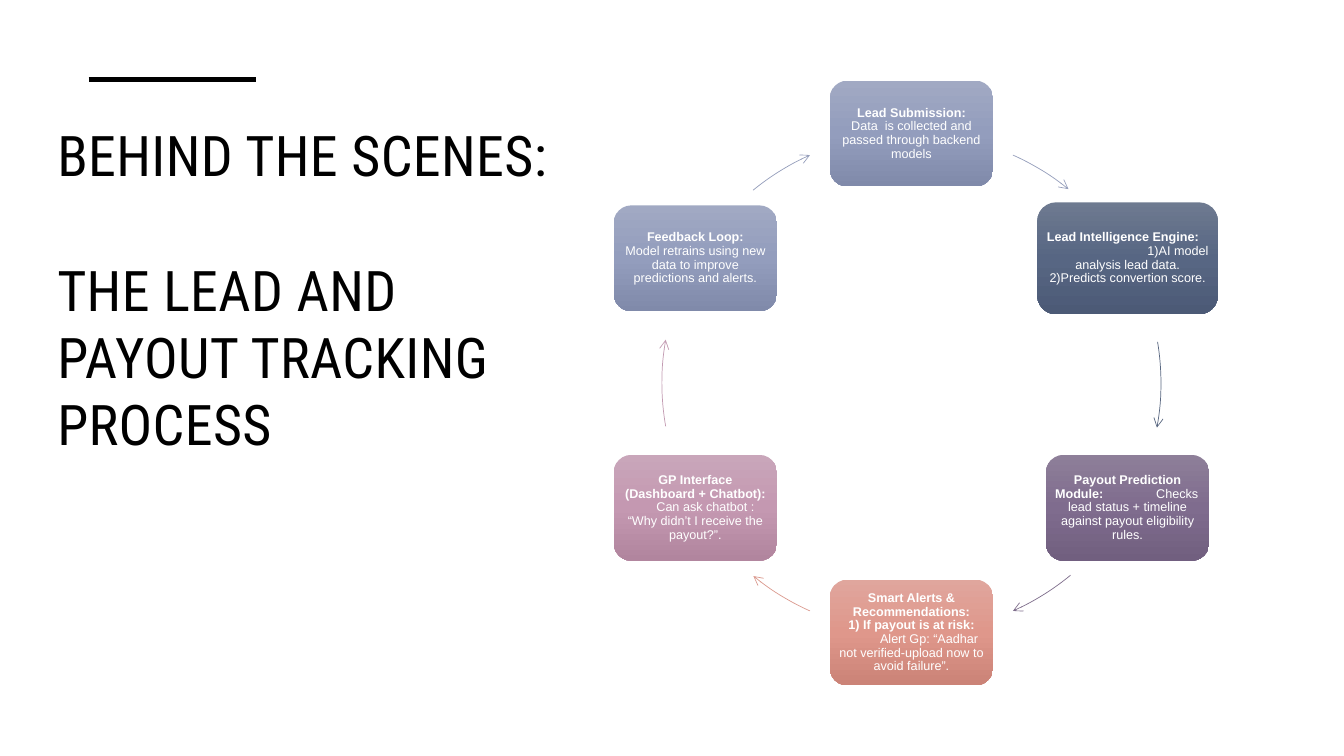
from copy import deepcopy
from dataclasses import dataclass
from math import cos, radians, sin

from lxml.etree import SubElement
from pptx import Presentation
from pptx.dml.color import RGBColor
from pptx.enum.shapes import MSO_CONNECTOR as Connector, MSO_SHAPE as Preset
from pptx.enum.text import MSO_ANCHOR as Anchor, PP_ALIGN as Align
from pptx.oxml.ns import qn
from pptx.util import Inches, Pt


@dataclass(frozen=True)
class Theme:
    ink: str = "000000"
    card_text: str = "FFFFFF"
    periwinkle: tuple = ("A1A9C3", "939DBD", "808AAA", "959EBB")
    slate: tuple = ("6E7A90", "576683", "4C5A76", "596781")
    plum: tuple = ("8E7F99", "7F6C8E", "715F7F", "7F6E8C")
    coral: tuple = ("E0A69D", "DF978B", "CB8377", "DB9A8F")
    mauve: tuple = ("C9A6BA", "C498B1", "B1859E", "C29AB1")
    title_font: str = "Roboto Condensed"
    body_font: str = "Arial"
    title_size: int = 40
    card_size: int = 9
    rule_width: float = 3.5
    arc_width: float = 0.5


THEME = Theme()
CENTER_X, CENTER_Y, RADIUS = 9.04, 3.8, 2.475
CARD_SIZE = (1.62, 1.05)
WIDE_CARD_SIZE = (1.79, 1.11)


@dataclass(frozen=True)
class Line:
    text: str
    bold: bool = False
    align: Align = Align.CENTER
    indent: float = 0
    right_tail: str = ""


@dataclass(frozen=True)
class Step:
    lines: tuple
    palette: tuple
    arc: tuple
    size: tuple = CARD_SIZE


STEPS = (
    Step((Line("Lead Submission:", True),
          Line("Data  is collected and passed through backend models")),
         THEME.periwinkle, (294, 309)),
    Step((Line("Lead Intelligence Engine:", True, Align.LEFT),
          Line("1)AI model", align=Align.RIGHT),
          Line("analysis lead data."),
          Line("2)Predicts convertion score.")),
         THEME.slate, (350.5, 10.3), WIDE_CARD_SIZE),
    Step((Line("Payout Prediction", True),
          Line("Module:", True, Align.LEFT, right_tail="Checks"),
          Line("lead status + timeline against payout eligibility rules.")),
         THEME.plum, (50.4, 66)),
    Step((Line("Smart Alerts & Recommendations:", True),
          Line("1) If payout is at risk:", True),
          Line("Alert Gp: “Aadhar", indent=0.35),
          Line("not verified-upload now to avoid failure”.")),
         THEME.coral, (114, 129.3)),
    Step((Line("GP Interface (Dashboard + Chatbot):", True),
          Line("Can ask chatbot :", indent=0.2),
          Line("“Why didn’t I receive the payout?”.")),
         THEME.mauve, (170, 190)),
    Step((Line("Feedback Loop:", True),
          Line("Model retrains using new data to improve predictions and alerts.")),
         THEME.periwinkle, (230.6, 246)),
)


def rgb(color):
    return RGBColor.from_string(color)


def style_run(run, font, size, color, bold=False):
    run.font.name = font
    run.font.size = Pt(size)
    run.font.color.rgb = rgb(color)
    run.font.bold = bold


def add_rule(slide):
    rule = slide.shapes.add_connector(
        Connector.STRAIGHT, Inches(0.88), Inches(0.79), Inches(2.54), Inches(0.79))
    rule.line.color.rgb = rgb(THEME.ink)
    rule.line.width = Pt(THEME.rule_width)
    SubElement(rule._element.spPr, qn("a:effectLst"))


def add_title(slide):
    title = slide.shapes.add_textbox(
        Inches(0.47), Inches(1.15), Inches(5.24), Inches(4.35))
    frame = title.text_frame
    frame.word_wrap = True
    frame.text = "BEHIND THE SCENES:\nTHE LEAD AND PAYOUT TRACKING PROCESS"
    frame.paragraphs[1].space_before = Pt(48)
    for paragraph in frame.paragraphs:
        for run in paragraph.runs:
            style_run(run, THEME.title_font, THEME.title_size, THEME.ink)
            run.font._element.set("spc", "30")


def fill_gradient(card, colors):
    card.fill.gradient()
    card.fill.gradient_angle = 270
    stop_list = card._element.spPr.find(".//" + qn("a:gsLst"))
    stop_list.append(deepcopy(stop_list[0]))
    for index, (stop, color) in enumerate(zip(card.fill.gradient_stops, colors)):
        stop.position = index / 2
        stop.color.rgb = rgb(color)


def write_line(paragraph, line, text_width):
    paragraph.text = line.text
    paragraph.alignment = line.align
    paragraph.line_spacing = 0.9
    properties = paragraph._p.get_or_add_pPr()
    if line.indent:
        properties.set("marL", str(Inches(line.indent)))
        properties.set("indent", "0")
    style_run(paragraph.runs[0], THEME.body_font, THEME.card_size,
              THEME.card_text, line.bold)
    if line.right_tail:
        tabs = SubElement(properties, qn("a:tabLst"))
        SubElement(tabs, qn("a:tab"), pos=str(Inches(text_width)), algn="r")
        tail = paragraph.add_run()
        tail.text = "\t" + line.right_tail
        style_run(tail, THEME.body_font, THEME.card_size, THEME.card_text)


def add_card(slide, step, angle):
    width, height = step.size
    left = CENTER_X + RADIUS * cos(radians(angle)) - width / 2
    top = CENTER_Y + RADIUS * sin(radians(angle)) - height / 2
    card = slide.shapes.add_shape(
        Preset.ROUNDED_RECTANGLE, Inches(left), Inches(top), Inches(width), Inches(height))
    card.shadow.inherit = False
    card.line.fill.background()
    fill_gradient(card, step.palette[:3])
    frame = card.text_frame
    frame.word_wrap = True
    frame.vertical_anchor = Anchor.MIDDLE
    frame.margin_left = frame.margin_right = Inches(0.04)
    frame.margin_top = frame.margin_bottom = Inches(0.04)
    frame.text = "\n".join(line.text for line in step.lines)
    for paragraph, line in zip(frame.paragraphs, step.lines):
        write_line(paragraph, line, width - 0.2)


def add_arc_arrow(slide, step):
    arc = slide.shapes.add_shape(
        Preset.ARC, Inches(CENTER_X - RADIUS), Inches(CENTER_Y - RADIUS),
        Inches(2 * RADIUS), Inches(2 * RADIUS))
    for index, degrees in enumerate(step.arc):
        arc.adjustments[index] = degrees * 0.6
    arc.shadow.inherit = False
    arc.fill.background()
    arc.line.color.rgb = rgb(step.palette[3])
    arc.line.width = Pt(THEME.arc_width)
    SubElement(arc.line._get_or_add_ln(), qn("a:tailEnd"), type="arrow")


def main():
    deck = Presentation()
    deck.slide_width, deck.slide_height = Inches(13.33), Inches(7.5)
    slide = deck.slides.add_slide(deck.slide_layouts[6])
    add_rule(slide)
    add_title(slide)
    for index, step in enumerate(STEPS):
        add_card(slide, step, -90 + index * 360 / len(STEPS))
        add_arc_arrow(slide, step)
    deck.save("out.pptx")


if __name__ == "__main__":
    main()
